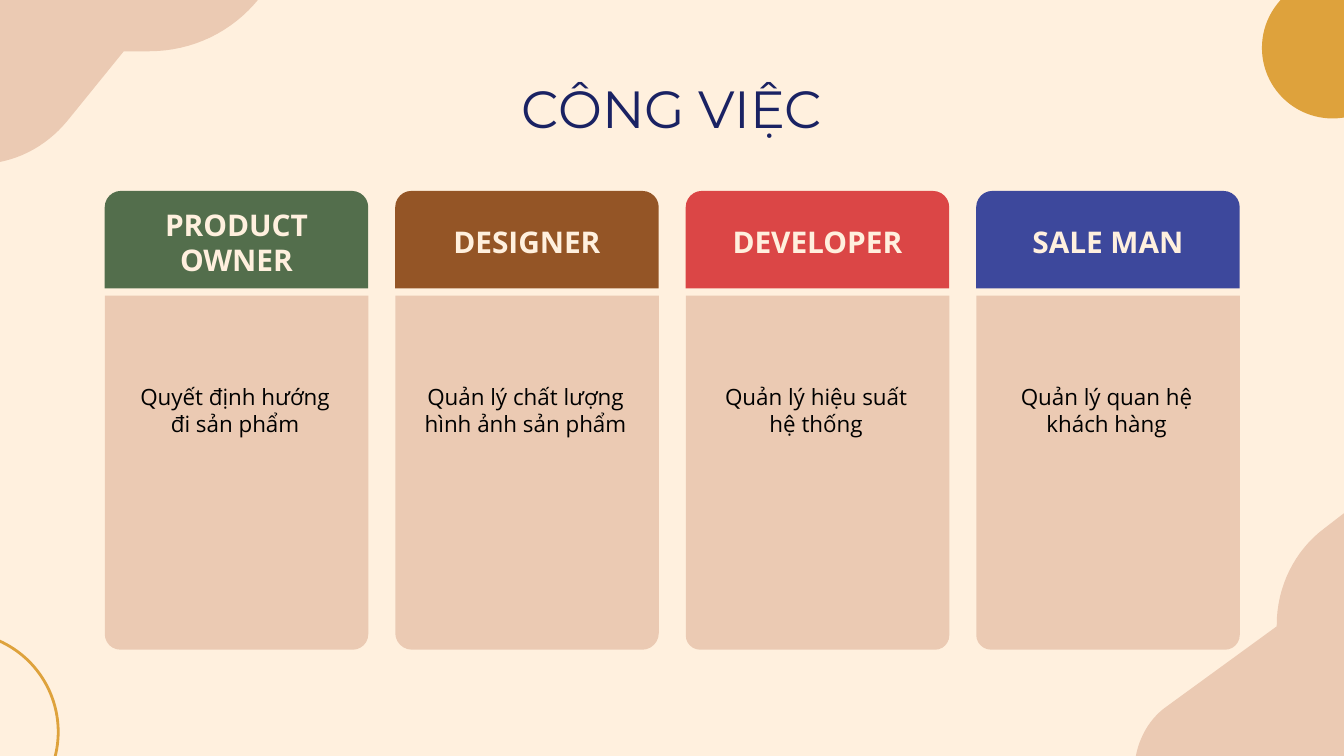
import pptx
import pptx.util
import pptx.dml.color
import pptx.enum.shapes
import pptx.enum.text

Cm = pptx.util.Cm
KIND = pptx.enum.shapes.MSO_SHAPE
ALIGN = pptx.enum.text.PP_ALIGN
ANCHOR = pptx.enum.text.MSO_ANCHOR

TITLE = "CÔNG VIỆC"
CARDS = [
    ("PRODUCT OWNER", "Quyết định hướng đi sản phẩm", "536E4C", 0.059),
    ("DESIGNER", "Quản lý chất lượng hình ảnh sản phẩm", "945526", 0.063),
    ("DEVELOPER", "Quản lý hiệu suất hệ thống", "DB4646", 0.054),
    ("SALE MAN", "Quản lý quan hệ khách hàng", "3D489C", 0.056),
]
BLOBS = [
    [
        [(-0.38, 3.1)], [(-0.38, 0.74)],
        [(-0.38, 0.18), (0.08, -0.28), (0.64, -0.28)],
        [(5.13, -0.28)], [(4.9, -0.03)],
        [(4.39, 0.61), (3.63, 0.97), (2.82, 0.97)],
        [(2.34, 0.97)], [(1.27, 2.29)],
        [(0.86, 2.79), (0.25, 3.1), (-0.38, 3.1)],
    ],
    [
        [(21.44, 14.58)],
        [(21.44, 14.1), (21.67, 13.61), (22.07, 13.34)],
        [(24.13, 11.84)], [(24.13, 11.81)],
        [(24.13, 11.1), (24.46, 10.41), (25.04, 9.98)],
        [(25.7, 9.47)], [(25.7, 13.72)],
        [(25.7, 14.2), (25.3, 14.58), (24.82, 14.58)],
    ],
]
THEME = {
    "cream": "FFF0DE", "sand": "EBCAB3", "gold": "DEA23C",
    "title": {"size": 28, "name": "Montserrat", "color": "1A2263", "bold": False},
    "head": {"size": 16, "name": "Open Sans", "color": "FFF0DE", "bold": True},
    "body": {"size": 12, "name": "Open Sans", "color": "000000", "bold": False},
}
WIDE, HIGH = 25.4, 14.29
LEFT, CARD, STEP = 1.98, 4.98, 5.49
INSET = 0.19
STEPS = 16


def tint(code):
    return pptx.dml.color.RGBColor.from_string(code)


def paint(shape, fill=None, line=None):
    shape.shadow.inherit = False
    if fill:
        shape.fill.solid()
        shape.fill.fore_color.rgb = tint(fill)
    else:
        shape.fill.background()
    if line:
        shape.line.color.rgb = tint(line)
        shape.line.width = pptx.util.Pt(1.5)
    else:
        shape.line.fill.background()


def place(shape, *box):
    for key, size in zip(("left", "top", "width", "height"), box):
        setattr(shape, key, Cm(size))


def add(slide, kind, *box):
    return slide.shapes.add_shape(kind, *map(Cm, box))


def write(shape, text, style, anchor):
    frame = shape.text_frame
    form = {
        "word_wrap": True, "auto_size": pptx.enum.text.MSO_AUTO_SIZE.NONE,
        "vertical_anchor": anchor,
    }
    form.update({"margin_" + side: Cm(0.25) for side in ("left", "top", "right", "bottom")})
    for key, value in form.items():
        setattr(frame, key, value)
    para = frame.paragraphs[0]
    para.alignment = ALIGN.CENTER
    run = para.add_run()
    run.text = text
    look = dict(THEME[style])
    run.font.color.rgb = tint(look.pop("color"))
    look["size"] = pptx.util.Pt(look["size"])
    for key, value in look.items():
        setattr(run.font, key, value)


def curve(a, b, c, d):
    for i in range(1, STEPS + 1):
        t = i / STEPS
        u = 1 - t
        yield tuple(
            u**3 * p + 3 * u * u * t * q + 3 * u * t * t * r + t**3 * s
            for p, q, r, s in zip(a, b, c, d)
        )


def draw_blob(slide, parts):
    dots = list(parts[0])
    for part in parts[1:]:
        dots += part if len(part) == 1 else list(curve(dots[-1], *part))
    spots = [(Cm(x), Cm(y)) for x, y in dots]
    pen = slide.shapes.build_freeform(*spots[0])
    pen.add_line_segments(spots[1:], close=True)
    paint(pen.convert_to_shape(), THEME["sand"])


def draw_card(slide, spot, card):
    head, body, fill, curl = card
    left = LEFT + spot * STEP
    panel = add(slide, KIND.ROUND_2_SAME_RECTANGLE, left, 5.59, CARD, 6.69)
    panel.rotation = 180
    panel.adjustments[0] = curl
    paint(panel, THEME["sand"])
    top = add(slide, KIND.ROUND_2_SAME_RECTANGLE, left, 3.61, CARD, 1.84)
    paint(top, fill)
    write(top, head, "head", ANCHOR.MIDDLE)
    box = (left + INSET, 6.99, CARD - 2 * INSET - 0.05, 2.13)
    label = slide.shapes.add_textbox(*map(Cm, box))
    write(label, body, "body", ANCHOR.TOP)


def main():
    deck = pptx.Presentation()
    deck.slide_width, deck.slide_height = Cm(WIDE), Cm(HIGH)
    slide = deck.slides.add_slide(deck.slide_layouts[5])
    slide.background.fill.solid()
    slide.background.fill.fore_color.rgb = tint(THEME["cream"])
    for parts in BLOBS:
        draw_blob(slide, parts)
    ring = add(slide, KIND.OVAL, -2.67, 11.95, 3.77, 3.77)
    paint(ring, line=THEME["gold"])
    sun = add(slide, KIND.OVAL, 23.85, -0.43, 2.67, 2.67)
    paint(sun, THEME["gold"])
    title = slide.shapes.title
    place(title, LEFT, 1.24, WIDE - 2 * LEFT, 1.6)
    write(title, TITLE, "title", ANCHOR.MIDDLE)
    for spot, card in enumerate(CARDS):
        draw_card(slide, spot, card)
    deck.save("out.pptx")


if __name__ == "__main__":
    main()
